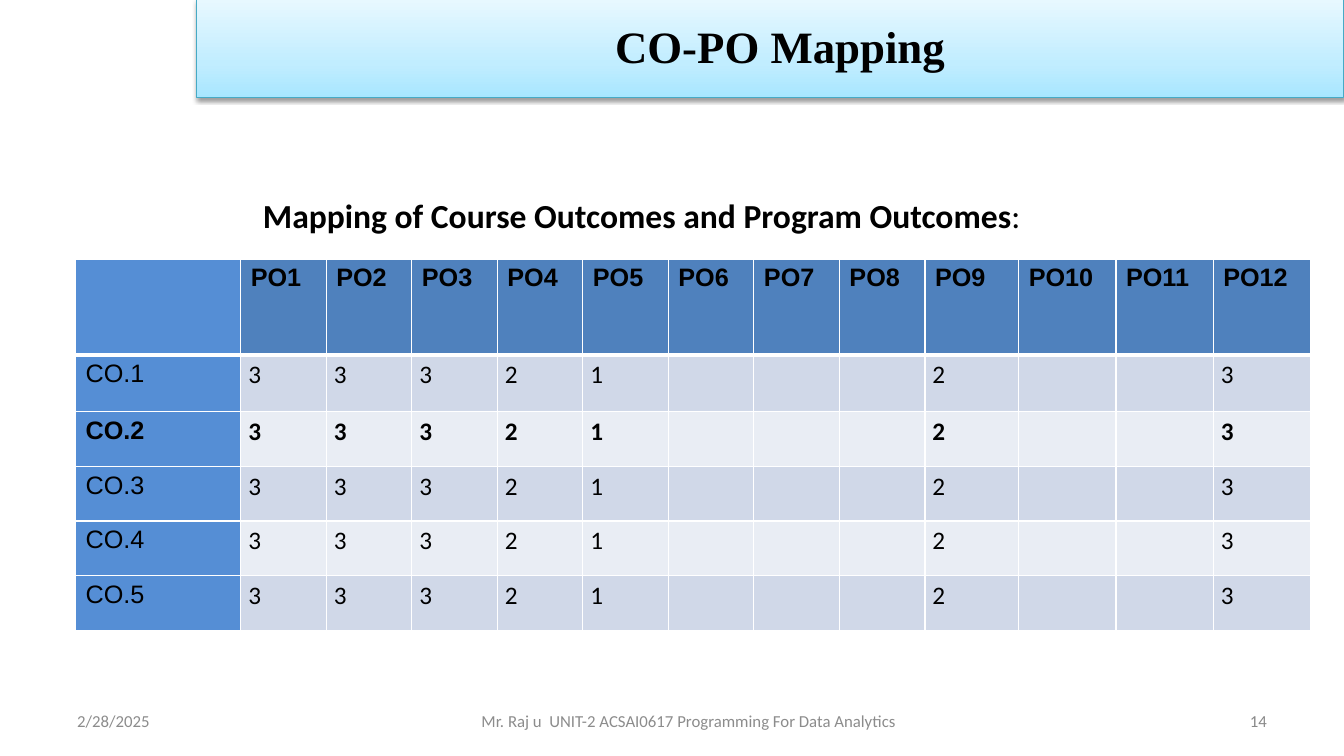
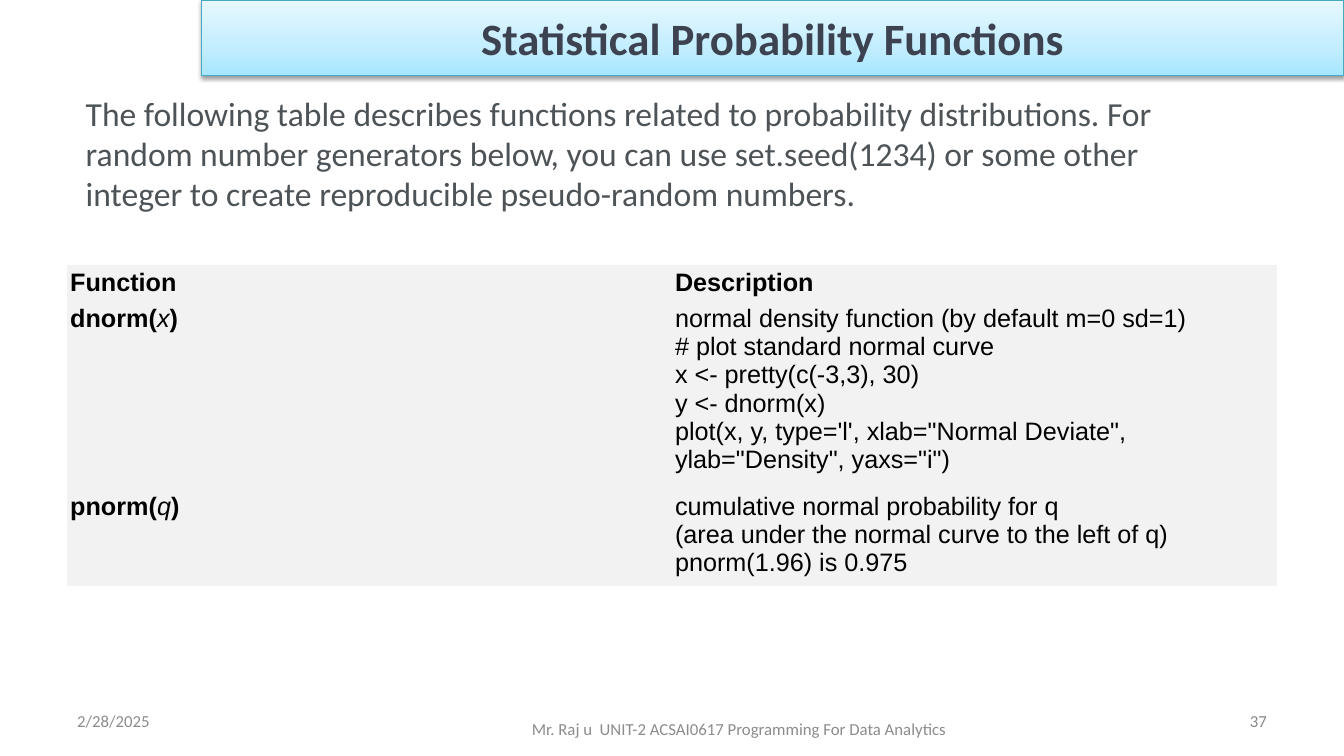
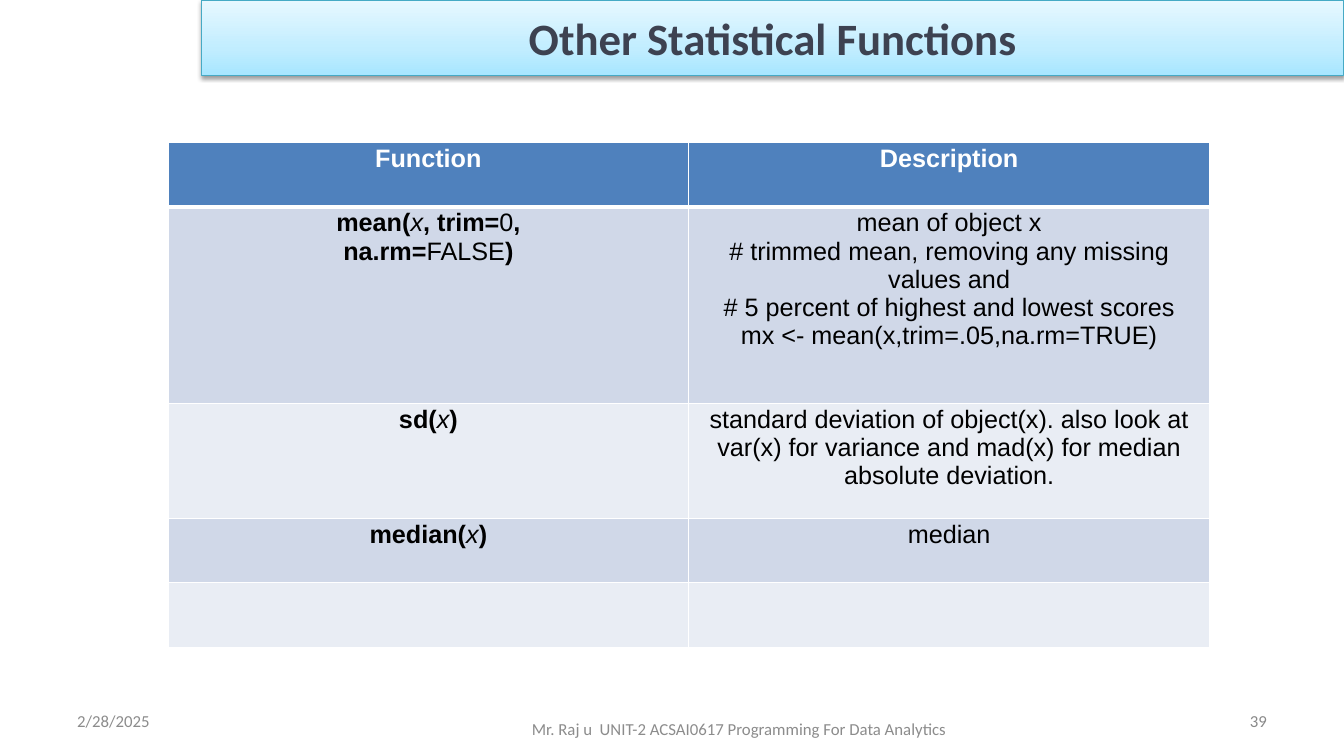
from copy import deepcopy
from dataclasses import dataclass, replace

from lxml.etree import SubElement
from pptx import Presentation
from pptx.dml.color import RGBColor
from pptx.enum.shapes import MSO_SHAPE
from pptx.enum.text import MSO_ANCHOR, PP_ALIGN
from pptx.oxml.ns import qn
from pptx.slide import Slide
from pptx.text.text import TextFrame
from pptx.util import Pt

BLACK, WHITE, GREY = "000000", "FFFFFF", "8C8C8C"
HEAD, SIDE, PALE = "4F81BD", "558ED5", "F2F2F2"
BANDS = ("D0D8E8", "E9EDF4")
STOPS = ((0, "A7E6FF"), (0.35, "C1EDFF"), (1, "E7F8FF"))
PLAIN_STYLE = "{2D5ABB26-0587-4C30-8999-92F81FD0307C}"
LEFT, MID, RIGHT = PP_ALIGN.LEFT, PP_ALIGN.CENTER, PP_ALIGN.RIGHT


@dataclass(frozen=True)
class Font:
    size: float = 18
    name: str = "Arial"
    color: str = BLACK
    bold: bool = False
    italic: bool = False


@dataclass(frozen=True)
class Run:
    text: str
    font: Font = Font()


@dataclass(frozen=True)
class Box:
    left: float
    top: float
    width: float
    height: float


@dataclass(frozen=True)
class Cell:
    runs: tuple[Run, ...]
    fill: str
    pad: tuple[float, float] = (7.2, 3.6)
    align: PP_ALIGN = LEFT
    space: float = 1.0


BODY = Font()
BOLD = Font(bold=True)
SLANT = Font(italic=True)
SMALL = Font(12, "Calibri", GREY)
TITLE = Font(32, "Calibri", "3D4251", True)
LEAD = Font(24, "Calibri", bold=True)


def paint(code: str) -> RGBColor:
    return RGBColor.from_string(code)


def write(frame: TextFrame, runs: tuple[Run, ...], align: PP_ALIGN = LEFT,
          space: float = 1.0) -> None:
    """Fill the first paragraph; a newline in a run becomes a line break."""
    frame.word_wrap = True
    para = frame.paragraphs[0]
    para.alignment = align
    para.line_spacing = space
    for run in runs:
        for i, line in enumerate(run.text.split("\n")):
            if i:
                para.add_line_break()
            part = para.add_run()
            part.text = line
            font = part.font
            font.size, font.name = Pt(run.font.size), run.font.name
            font.bold, font.italic = run.font.bold, run.font.italic
            font.color.rgb = paint(run.font.color)


def label(slide: Slide, box: Box, run: Run, align: PP_ALIGN = LEFT,
          anchor: MSO_ANCHOR = MSO_ANCHOR.MIDDLE, inset: float = 7.2) -> None:
    shape = slide.shapes.add_textbox(
        Pt(box.left), Pt(box.top), Pt(box.width), Pt(box.height))
    frame = shape.text_frame
    frame.vertical_anchor = anchor
    frame.margin_left = Pt(inset)
    write(frame, (run,), align)


def banner(slide: Slide, box: Box, run: Run, inset: float = 7.2,
           space: float = 1.0) -> None:
    shape = slide.shapes.add_shape(
        MSO_SHAPE.RECTANGLE,
        Pt(box.left), Pt(box.top), Pt(box.width), Pt(box.height))
    shape.fill.gradient()
    shape.fill.gradient_angle = 90
    props = shape.element.spPr
    stops = props.find(".//" + qn("a:gsLst"))
    stops.append(deepcopy(stops[-1]))
    for stop, (place, color) in zip(shape.fill.gradient_stops, STOPS):
        stop.position = place
        stop.color.rgb = paint(color)
    shape.line.color.rgb = paint("46AAC5")
    shape.line.width = Pt(0.75)
    shape.shadow.inherit = False
    shade = SubElement(
        props.find(qn("a:effectLst")), qn("a:outerShdw"),
        blurRad=str(Pt(3.1)), dist=str(Pt(1.6)), dir="5400000", rotWithShape="0")
    tint = SubElement(shade, qn("a:srgbClr"), val=BLACK)
    SubElement(tint, qn("a:alpha"), val="38000")
    frame = shape.text_frame
    frame.vertical_anchor = MSO_ANCHOR.MIDDLE
    frame.margin_left = Pt(inset)
    write(frame, (run,), MID, space)


def footer(slide: Slide, page: int, mid: Box) -> None:
    side = Box(48, 500.4, 224, 28.8)
    label(slide, side, Run("2/28/2025", SMALL))
    label(slide, mid, Run(
        "Mr. Raj u  UNIT-2 ACSAI0617 Programming For Data Analytics", SMALL), MID)
    label(slide, replace(side, left=688),
          Run(str(page), replace(SMALL, color="898989")), RIGHT)


def grid(slide: Slide, left: float, top: float, cols: list[float],
         rows: list[float], cells: list[list[Cell]], ruled: bool = True) -> None:
    """Draw a table; a ruled one has white lines, thicker under the header."""
    table = slide.shapes.add_table(
        len(rows), len(cols), Pt(left), Pt(top), Pt(sum(cols)), Pt(sum(rows))).table
    props = table._tbl.tblPr
    props.find(qn("a:tableStyleId")).text = PLAIN_STYLE
    table.first_row = table.horz_banding = False
    for col, width in zip(table.columns, cols):
        col.width = Pt(width)
    for r, (height, line) in enumerate(zip(rows, cells)):
        table.rows[r].height = Pt(height)
        for c, item in enumerate(line):
            cell = table.cell(r, c)
            if ruled:
                edges = {"L": 1, "R": 1, "T": 3 if r == 1 else 1,
                         "B": 3 if r == 0 else 1}
                for edge, width in edges.items():
                    rule = SubElement(cell._tc.get_or_add_tcPr(),
                                      qn("a:ln" + edge), w=str(Pt(width)))
                    SubElement(SubElement(rule, qn("a:solidFill")),
                               qn("a:srgbClr"), val=WHITE)
            cell.fill.solid()
            cell.fill.fore_color.rgb = paint(item.fill)
            cell.margin_left = cell.margin_right = Pt(item.pad[0])
            cell.margin_top = cell.margin_bottom = Pt(item.pad[1])
            write(cell.text_frame, item.runs, item.align, item.space)


def call(name: str, arg: str) -> tuple[Run, ...]:
    return Run(name + "(", BOLD), Run(arg, SLANT), Run(")", BOLD)


def mapping(slide: Slide) -> None:
    label(slide, Box(180.7, 64.8, 610.6, 106.6),
          Run("Mapping of Course Outcomes and Program Outcomes", LEAD),
          anchor=MSO_ANCHOR.BOTTOM)
    para = slide.shapes[-1].text_frame.paragraphs[0]
    colon = para.add_run()
    colon.text = ":"
    colon.font.size, colon.font.name = Pt(LEAD.size), LEAD.name
    colon.font.color.rgb = paint(LEAD.color)
    footer(slide, 14, Box(210, 500.4, 564, 28.8))
    banner(slide, Box(140.4, 0, 819.6, 69.8),
           Run("CO-PO Mapping", Font(32, "Times New Roman", bold=True)), 21.2, 0.9)

    marks = {1: "3", 2: "3", 3: "3", 4: "2", 5: "1", 9: "2", 12: "3"}
    cells = [[Cell((), SIDE)]
             + [Cell((Run(f"PO{n}", BOLD),), HEAD) for n in range(1, 13)]]
    for row in range(1, 6):
        font = BOLD if row == 2 else BODY
        mark = replace(font, name="Calibri")
        cells.append([Cell((Run(f"CO.{row}", font),), SIDE)] + [
            Cell((Run(marks[n], mark),) if n in marks else (),
                 BANDS[(row - 1) % 2], (5.4, 0), space=1.15)
            for n in range(1, 13)])
    grid(slide, 54, 185, [118] + [61.1] * 8 + [67] + [69.5] * 3,
         [68.4, 40.8] + [39] * 4, cells)


def odds(slide: Slide) -> None:
    topic(slide, "Statistical Probability Functions", 37)
    label(slide, Box(18, 62.6, 876, 417.6), Run(
        "The following table describes functions related to probability "
        "distributions. For random number generators below, you can use "
        "set.seed(1234) or some other integer to create reproducible "
        "pseudo-random numbers.", Font(24, "Calibri", "4D5356")),
        anchor=MSO_ANCHOR.TOP, inset=43.2)
    lines = [
        ((Run("Function", BOLD),), (Run("Description", BOLD),)),
        (call("dnorm", "x"), (Run(
            "normal density function (by default m=0 sd=1)\n"
            "# plot standard normal curve\n"
            "x <- pretty(c(-3,3), 30)\n"
            "y <- dnorm(x)\n"
            "plot(x, y, type='l', xlab=\"Normal Deviate\", "
            "ylab=\"Density\", yaxs=\"i\")"),)),
        (call("pnorm", "q"), (Run(
            "cumulative normal probability for q\n"
            "(area under the normal curve to the left of q)\n"
            "pnorm(1.96) is 0.975"),)),
    ]
    cells = [[Cell(runs, PALE, (2.2, 2.2)) for runs in line] for line in lines]
    grid(slide, 48, 189.4, [432] * 2, [24, 126, 65], cells, ruled=False)


def other(slide: Slide) -> None:
    topic(slide, "Other Statistical Functions", 39)
    head = replace(BOLD, color=WHITE)
    lines = [
        ((Run("Function", head),), (Run("Description", head),)),
        ((Run("mean(", BOLD), Run("x", SLANT), Run(", trim=", BOLD), Run("0"),
          Run(",\nna.rm=", BOLD), Run("FALSE"), Run(")", BOLD)),
         (Run("mean of object x\n"
              "# trimmed mean, removing any missing values and\n"
              "# 5 percent of highest and lowest scores\n"
              "mx <- mean(x,trim=.05,na.rm=TRUE)"),)),
        (call("sd", "x"), (Run(
            "standard deviation of object(x). also look at var(x) for "
            "variance and mad(x) for median absolute deviation."),)),
        (call("median", "x"), (Run("median"),)),
        ((), ()),
    ]
    cells = [[Cell(runs, BANDS[(r - 1) % 2] if r else HEAD, (1.4, 1.4), MID)
              for runs in line] for r, line in enumerate(lines)]
    grid(slide, 120, 102, [372] * 2, [46, 140.4, 82, 46, 46], cells)


def topic(slide: Slide, title: str, page: int) -> None:
    """Draw the banner and footer of a slide about functions."""
    footer(slide, page, Box(264, 500.4, 528, 39.6))
    banner(slide, Box(144, 0, 816, 54), Run(title, TITLE))


def main() -> None:
    deck = Presentation()
    deck.slide_width, deck.slide_height = Pt(960), Pt(540)
    for draw in (mapping, odds, other):
        draw(deck.slides.add_slide(deck.slide_layouts[6]))
    deck.save("out.pptx")


if __name__ == "__main__":
    main()
